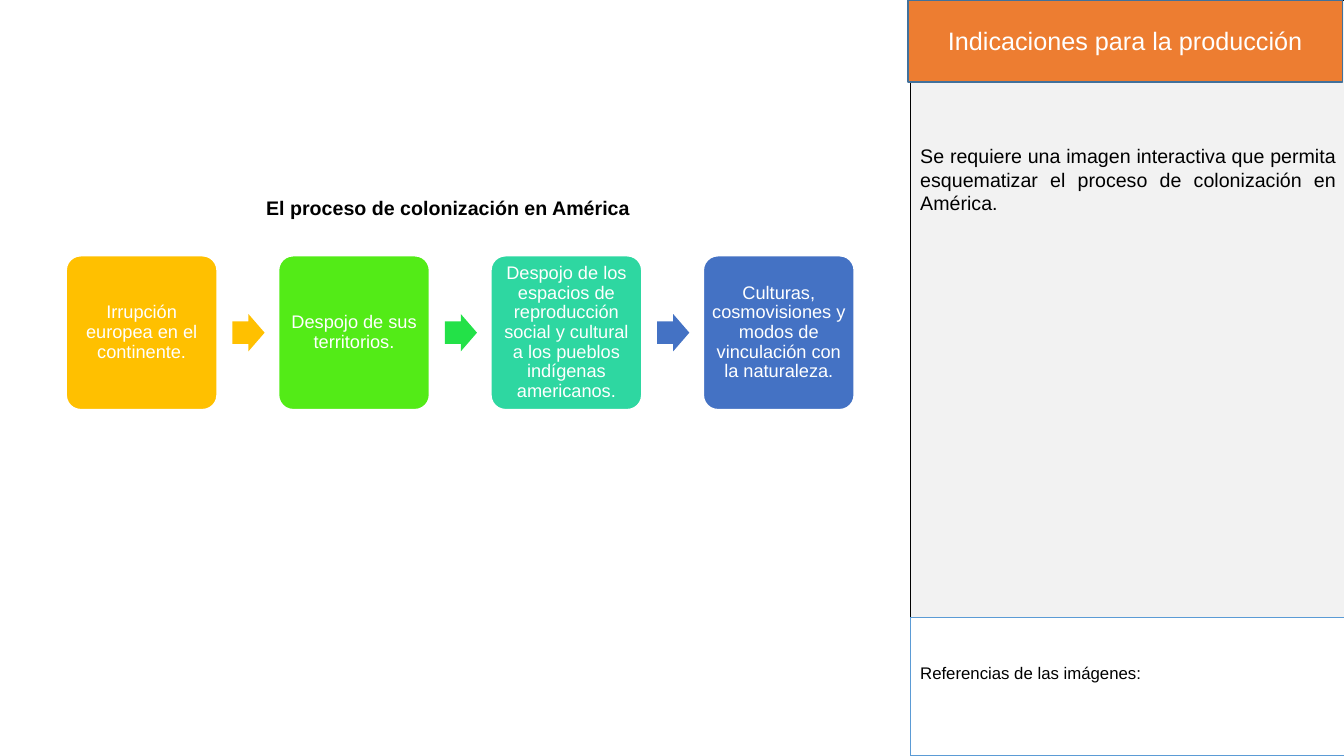
"""Build the slide on the colonization process in América."""
from pptx import Presentation
from pptx.dml.color import RGBColor
from pptx.enum.shapes import MSO_SHAPE
from pptx.enum.text import MSO_ANCHOR, PP_ALIGN
from pptx.util import Pt

WHITE = RGBColor(0xFF, 0xFF, 0xFF)
BLACK = RGBColor(0, 0, 0)
GRAY = RGBColor(0xF2, 0xF2, 0xF2)
ORANGE = RGBColor(0xED, 0x7D, 0x31)
NAVY = RGBColor(0x42, 0x71, 0x9B)
SKY = RGBColor(0x5B, 0x9B, 0xD5)
GOLD = RGBColor(0xFF, 0xC0, 0x00)
LIME = RGBColor(0x53, 0xEB, 0x17)
GREEN = RGBColor(0x23, 0xE1, 0x48)
TEAL = RGBColor(0x2E, 0xD7, 0xA1)
BLUE = RGBColor(0x44, 0x72, 0xC4)

TITLE = "El proceso de colonización en América"
HEAD = "Indicaciones para la producción"
BRIEF = ("Se requiere una imagen interactiva que permita esquematizar "
         "el proceso de colonización en América.")
REFS = "Referencias de las imágenes:"
STEPS = [
    ("Irrupción europea en el continente.", GOLD),
    ("Despojo de sus territorios.", LIME),
    ("Despojo de los espacios de reproducción social y cultural "
     "a los pueblos indígenas americanos.", TEAL),
    ("Culturas, cosmovisiones y modos de vinculación con la naturaleza.", BLUE),
]
ARROWS = [GOLD, GREEN, BLUE]

WIDE, HIGH = 960, 540
SIDE = 650.2
LEFT, TOP, PITCH = 46.8, 182.2, 151.7
BOX_W, BOX_H = 108.7, 110.9
ARROW_W, ARROW_H, ARROW_X = 23, 26.6, 119.2


def place(box):
    """Turn a tuple of points into lengths."""
    return [Pt(n) for n in box]


def write(shape, text, size, color, align, anchor=MSO_ANCHOR.MIDDLE):
    """Put one styled paragraph in a shape and return it."""
    frame = shape.text_frame
    frame.word_wrap = True
    frame.vertical_anchor = anchor
    para = frame.paragraphs[0]
    para.text = text
    para.alignment = align
    para.font.name = "Arial"
    para.font.size = Pt(size)
    para.font.color.rgb = color
    return para


def draw(slide, kind, box, fill, edge=None, width=1):
    """Add a flat preset shape."""
    shape = slide.shapes.add_shape(kind, *place(box))
    shape.shadow.inherit = False
    shape.fill.solid()
    shape.fill.fore_color.rgb = fill
    if edge is None:
        shape.line.fill.background()
    else:
        shape.line.color.rgb = edge
        shape.line.width = Pt(width)
    return shape


def add_side(slide):
    """Add the panel with the brief and the references."""
    rect = MSO_SHAPE.RECTANGLE
    draw(slide, rect, (SIDE, 0, 310.3, HIGH), GRAY, BLACK)
    brief = slide.shapes.add_textbox(*place((SIDE, 99.4, 311.4, 237.6)))
    write(brief, BRIEF, 14, BLACK, PP_ALIGN.JUSTIFY, MSO_ANCHOR.TOP)
    refs = draw(slide, rect, (SIDE, 441.2, 310.8, 98.8), WHITE, SKY)
    write(refs, REFS, 12, BLACK, PP_ALIGN.LEFT)
    refs.text_frame.margin_bottom = Pt(24.3)
    head = draw(slide, rect, (648.5, 0, 310.3, 58.5), ORANGE, NAVY)
    write(head, HEAD, 18, WHITE, PP_ALIGN.CENTER)


def add_steps(slide):
    """Add the row of boxes and the arrows between them."""
    for i, (text, color) in enumerate(STEPS):
        box = draw(slide, MSO_SHAPE.ROUNDED_RECTANGLE,
                   (LEFT + i * PITCH, TOP, BOX_W, BOX_H), color, WHITE, 2)
        box.adjustments[0] = 0.1
        frame = box.text_frame
        frame.margin_left = frame.margin_right = Pt(3.6)
        para = write(box, text, 13, WHITE, PP_ALIGN.CENTER)
        para.line_spacing = 0.9
    for i, color in enumerate(ARROWS):
        arrow = draw(slide, MSO_SHAPE.RIGHT_ARROW,
                     (LEFT + i * PITCH + ARROW_X, TOP + (BOX_H - ARROW_H) / 2,
                      ARROW_W, ARROW_H), color)
        arrow.adjustments[0] = 0.6
        arrow.adjustments[1] = 0.5


def add_title(slide):
    """Set the title over the row of boxes."""
    title = slide.shapes.title
    title.left, title.top, title.width, title.height = place(
        (182.9, 136.1, 275.8, 24.5))
    para = write(title, TITLE, 14, BLACK, PP_ALIGN.LEFT, MSO_ANCHOR.TOP)
    para.font.bold = True


def main():
    """Make the deck and save it."""
    deck = Presentation()
    deck.slide_width, deck.slide_height = Pt(WIDE), Pt(HIGH)
    slide = deck.slides.add_slide(deck.slide_layouts[5])
    add_side(slide)
    add_steps(slide)
    add_title(slide)
    deck.save("out.pptx")


if __name__ == "__main__":
    main()
